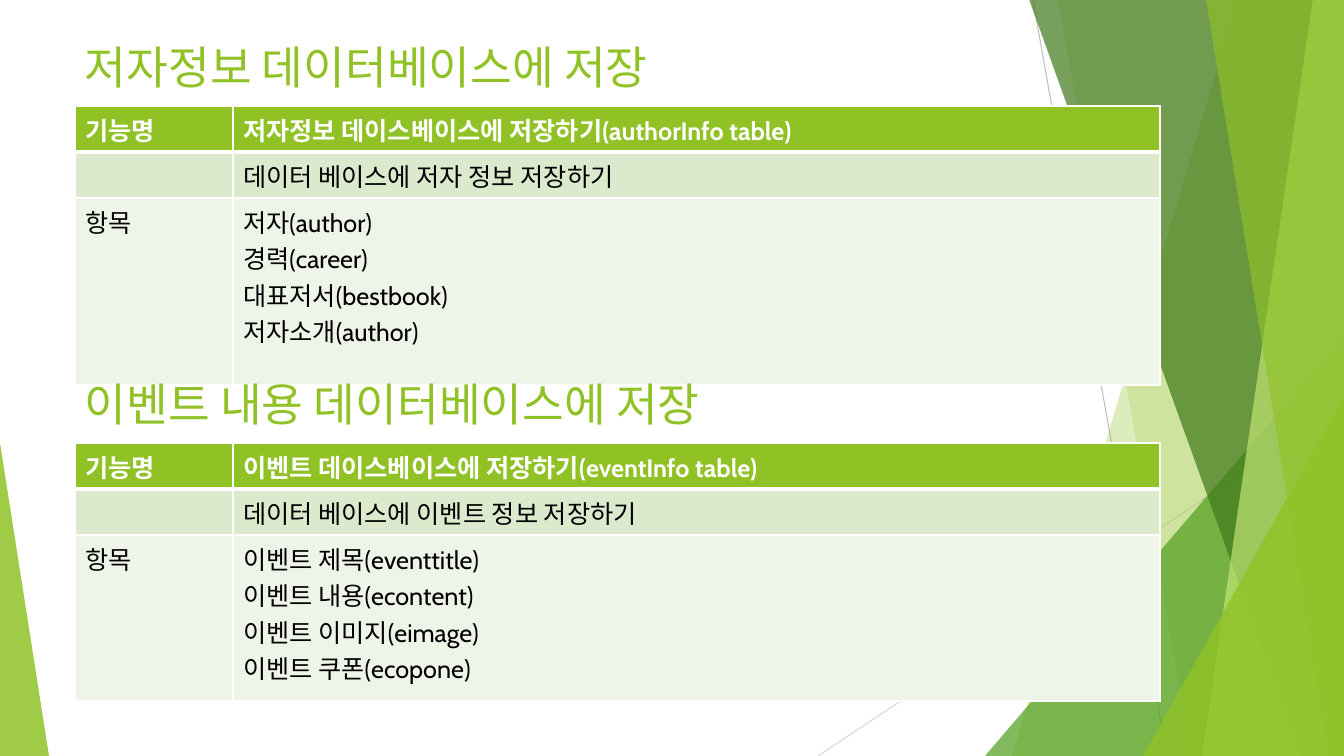
from dataclasses import dataclass

from lxml.etree import SubElement
from pptx import Presentation
from pptx.dml.color import RGBColor
from pptx.enum.shapes import MSO_CONNECTOR, MSO_SHAPE
from pptx.enum.text import MSO_ANCHOR
from pptx.oxml.ns import qn
from pptx.util import Emu, Pt

PX = 914400 / 100.8  # EMU per px
WIDTH, HEIGHT = 1344, 756
LEFT = 75
GREEN, WHITE, BLACK = "90C226", "FFFFFF", "000000"
ROW_FILLS = (GREEN, "DBE9CD", "EEF4E8")
COLUMN_WIDTHS = (158, 927)

TITLE_FONT = {"name": "Cabin", "size": Pt(32.4), "bold": False}
HEADER_FONT = {"name": "Cabin", "size": Pt(18), "bold": True}
BODY_FONT = {**HEADER_FONT, "bold": False}


@dataclass
class Line:
    start: tuple[int, int]
    end: tuple[int, int]
    color: str


@dataclass
class Facet:
    points: list[tuple[int, int]]
    color: str
    opacity: int


@dataclass
class Triangle:
    box: tuple[int, int, int, int]
    apex: int
    color: str
    opacity: int


@dataclass
class Section:
    title: str
    title_top: int
    table_top: int
    row_heights: tuple[int, int, int]
    header: str
    summary: str
    items: list[str]


def band(top_x: int, bottom_x: int, color: str, opacity: int) -> Facet:
    """Facet between a slanted left edge and the right side of the slide."""
    points = [(top_x, -1), (WIDTH, -1), (WIDTH, HEIGHT), (bottom_x, HEIGHT)]
    return Facet(points, color, opacity)


BACKDROP = [
    Line((1033, 0), (1167, HEIGHT), "BFBFBF"),
    Line((WIDTH, 406), (818, HEIGHT), "D9D9D9"),
    band(1238, 1012, GREEN, 30),
    band(1058, 1192, GREEN, 20),
    Triangle((985, 336, 359, 420), 1, "54A021", 72),
    band(1029, 1301, "3F7819", 70),
    band(1313, 1202, "C0E474", 70),
    band(1206, 1329, GREEN, 65),
    Triangle((1143, 396, 201, 360), 1, GREEN, 80),
    Triangle((0, 443, 49, 313), 0, GREEN, 85),
]

SECTIONS = [
    Section(
        "저자정보 데이터베이스에 저장", 40, 106, (46, 46, 187),
        "저자정보 데이스베이스에 저장하기(authorInfo table)",
        "데이터 베이스에 저자 정보 저장하기",
        ["저자(author)", "경력(career)", "대표저서(bestbook)", "저자소개(author)"],
    ),
    Section(
        "이벤트 내용 데이터베이스에 저장", 377, 443, (46, 46, 166),
        "이벤트 데이스베이스에 저장하기(eventInfo table)",
        "데이터 베이스에 이벤트 정보 저장하기",
        ["이벤트 제목(eventtitle)", "이벤트 내용(econtent)",
         "이벤트 이미지(eimage)", "이벤트 쿠폰(ecopone)"],
    ),
]


def px(*lengths: int) -> list[Emu]:
    return [Emu(round(n * PX)) for n in lengths]


def rgb(color: str) -> RGBColor:
    return RGBColor.from_string(color)


def apply_format(target, values: dict) -> None:
    for name, value in values.items():
        setattr(target, name, value)


def paint(sp, color: str, opacity: int) -> None:
    sp.shadow.inherit = False
    sp.line.fill.background()
    sp.fill.solid()
    sp.fill.fore_color.rgb = rgb(color)
    clr = next(sp._element.spPr.iter(qn("a:srgbClr")))
    SubElement(clr, qn("a:alpha"), val=str(opacity * 1000))


def draw_line(s, line: Line) -> None:
    cxn = s.shapes.add_connector(MSO_CONNECTOR.STRAIGHT, *px(*line.start, *line.end))
    cxn.line.color.rgb = rgb(line.color)
    cxn.line.width = Pt(0.75)
    SubElement(cxn._element.spPr, qn("a:effectLst"))


def draw_facet(s, facet: Facet) -> None:
    start, *rest = facet.points
    builder = s.shapes.build_freeform(*start, scale=PX)
    builder.add_line_segments(rest, close=True)
    paint(builder.convert_to_shape(), facet.color, facet.opacity)


def draw_triangle(s, triangle: Triangle) -> None:
    sp = s.shapes.add_shape(MSO_SHAPE.ISOSCELES_TRIANGLE, *px(*triangle.box))
    sp.adjustments[0] = triangle.apex
    paint(sp, triangle.color, triangle.opacity)


def write(tf, lines: list[str], font: dict, color: str) -> None:
    for i, text in enumerate(lines):
        p = tf.add_paragraph() if i else tf.paragraphs[0]
        r = p.add_run()
        r.text = text
        apply_format(r.font, font)
        r.font.color.rgb = rgb(color)


def set_borders(cell, top: int, bottom: int) -> None:
    tc_pr = cell._tc.get_or_add_tcPr()
    sides = {"L": 1, "R": 1, "T": top, "B": bottom}
    for i, (side, width) in enumerate(sides.items()):
        ln = tc_pr.makeelement(qn(f"a:ln{side}"), {"w": str(Pt(width))})
        fill = SubElement(ln, qn("a:solidFill"))
        SubElement(fill, qn("a:srgbClr"), val=WHITE)
        tc_pr.insert(i, ln)


def draw_title(s, section: Section) -> None:
    tf = s.shapes.add_textbox(*px(LEFT, section.title_top, 948, 54)).text_frame
    apply_format(tf, {"word_wrap": True, "vertical_anchor": MSO_ANCHOR.TOP})
    write(tf, [section.title], TITLE_FONT, GREEN)
    tf.paragraphs[0].line_spacing = 0.9


def draw_table(s, section: Section) -> None:
    rows = [
        (["기능명"], [section.header]),
        ([], [section.summary]),
        (["항목"], section.items),
    ]
    box = px(LEFT, section.table_top, sum(COLUMN_WIDTHS), sum(section.row_heights))
    table = s.shapes.add_table(len(rows), len(COLUMN_WIDTHS), *box).table
    for column, width in zip(table.columns, px(*COLUMN_WIDTHS)):
        column.width = width
    for row, height in zip(table.rows, px(*section.row_heights)):
        row.height = height

    for i, row in enumerate(rows):
        font, color = (BODY_FONT, BLACK) if i else (HEADER_FONT, WHITE)
        for j, lines in enumerate(row):
            cell = table.cell(i, j)
            cell.fill.solid()
            cell.fill.fore_color.rgb = rgb(ROW_FILLS[i])
            set_borders(cell, top=3 if i == 1 else 1, bottom=3 if i == 0 else 1)
            write(cell.text_frame, lines, font, color)


def main() -> None:
    prs = Presentation()
    prs.slide_width, prs.slide_height = px(WIDTH, HEIGHT)
    s = prs.slides.add_slide(prs.slide_layouts[6])

    # Faceted green backdrop
    draw = {Line: draw_line, Facet: draw_facet, Triangle: draw_triangle}
    for part in BACKDROP:
        draw[type(part)](s, part)

    # Titles with their tables
    for section in SECTIONS:
        draw_title(s, section)
        draw_table(s, section)

    prs.save("out.pptx")


if __name__ == "__main__":
    main()
